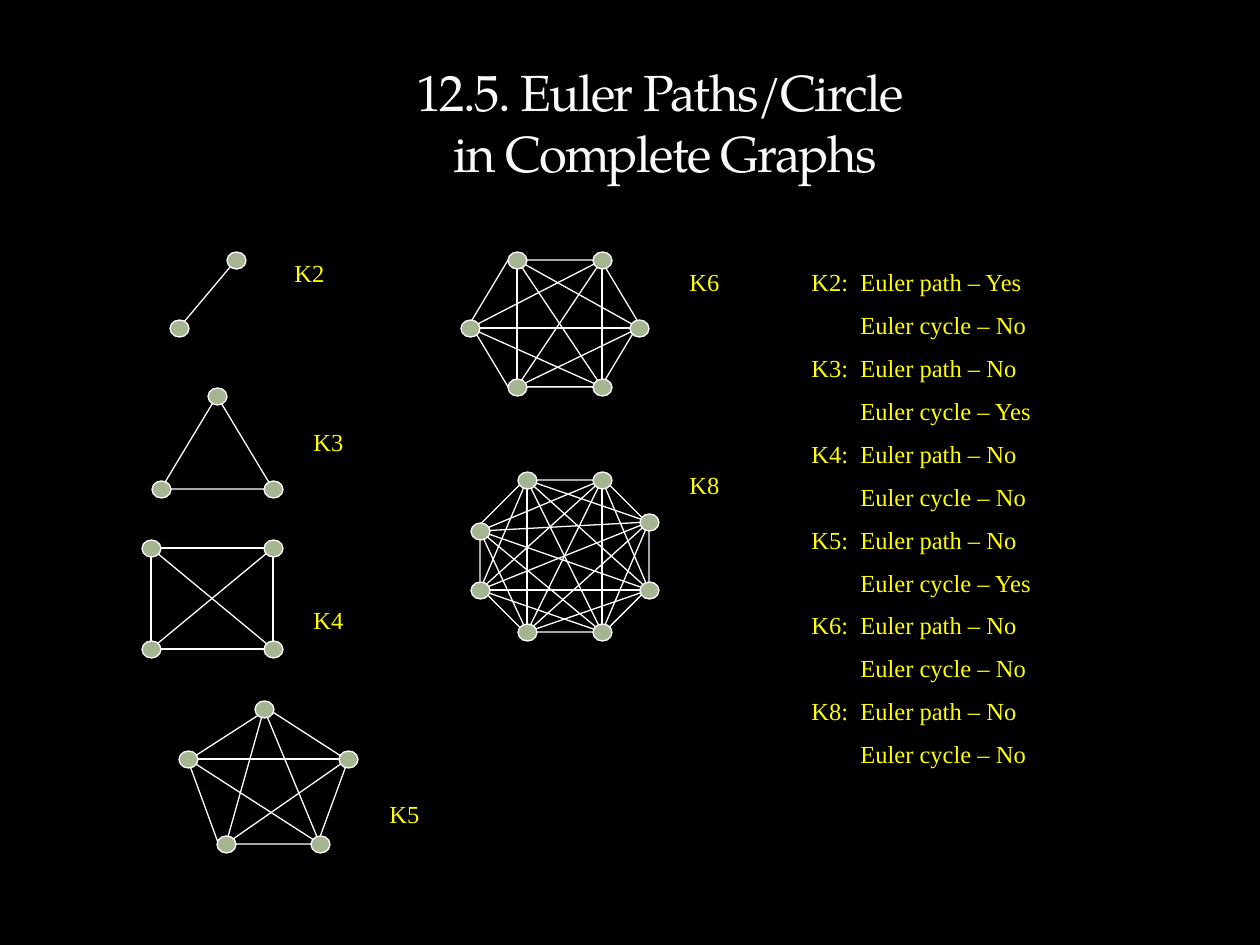
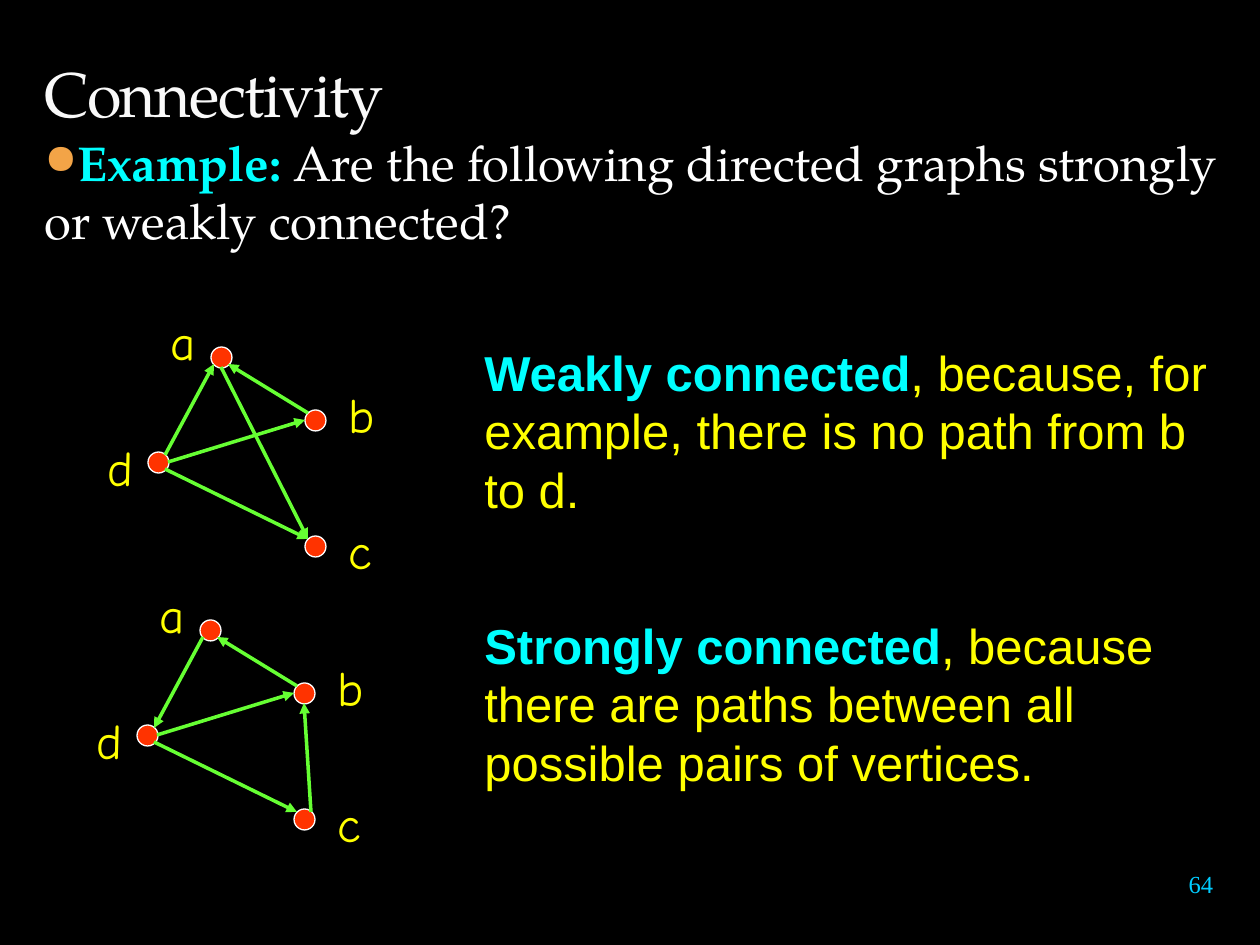
from itertools import combinations

from lxml import etree
from pptx import Presentation
from pptx import util as u
from pptx.dml.color import RGBColor
from pptx.enum import shapes, text
from pptx.oxml.ns import qn

PX = 9144000 // 1260
COLORS = {
    "back": "000000", "title": "F9F9F9", "white": "FFFFFF", "yellow": "FFFF00",
    "cyan": "00FFFF", "number": "00CCFF", "bullet": "F3A447",
    "vertex": "A5B592", "node": "FF3300", "arrow": "66FF33",
}
SERIF, HEAD, HAND, SANS = "Times New Roman", "TeX Gyre Pagella", "Comic Neue", "Arial"
KIND = shapes.MSO_SHAPE
ORDERS = (2, 3, 4, 5, 6, 8)

COMPLETE_GRAPHS = [
    (None, [(236, 260), (179, 328)], (282, 252)),
    (KIND.ISOSCELES_TRIANGLE, [(217, 396), (273, 489), (161, 489)], (301, 421)),
    (KIND.RECTANGLE, [(151, 548), (273, 548), (273, 649), (151, 649)], (301, 599)),
    (KIND.REGULAR_PENTAGON,
     [(264, 709), (348, 759), (320, 844), (226, 844), (188, 759)], (377, 793)),
    (KIND.HEXAGON, [(517, 260), (602, 260), (639, 328), (602, 387), (517, 387),
                    (470, 328)], (677, 261)),
    (KIND.OCTAGON, [(527, 480), (602, 480), (649, 522), (649, 590), (602, 632),
                    (527, 632), (480, 590), (480, 531)], (677, 464)),
]

NODES = {"a": (221, 357), "b": (315, 420), "c": (315, 546), "d": (158, 462)}
LABELS = {"a": (158, 305), "b": (336, 378), "c": (336, 514), "d": (95, 431)}
RIM = {"s": (0, 10), "e": (10, 0), "w": (-10, 0), "ne": (7, -7),
       "nw": (-7, -7), "se": (7, 7), "sw": (-7, 7)}
SHARED_ARROWS = ["b nw a se", "d e b w", "d se c nw"]
WEAK_ARROWS = SHARED_ARROWS + ["d ne a sw", "a s c nw"]
STRONG_ARROWS = SHARED_ARROWS + ["a sw d ne", "c ne b s"]


def rgb(name):
    """Look a colour up by name."""
    return RGBColor.from_string(COLORS[name])


def px(*lengths):
    """Turn px lengths into EMU."""
    return [n * PX for n in lengths]


def add_slide(prs):
    """Add a blank slide with the dark background."""
    s = prs.slides.add_slide(prs.slide_layouts[6])
    s.background.fill.solid()
    s.background.fill.fore_color.rgb = rgb("back")
    return s


def style(r, font, size, color, bold=False):
    """Format one run."""
    r.font.name, r.font.size, r.font.bold = font, u.Pt(size), bold
    r.font.color.rgb = rgb(color)


def add_text(sh, box, lines, font, size, color, lead=""):
    """Add a wrapped text box, with an optional bold cyan lead-in."""
    tf = sh.add_textbox(*px(*box)).text_frame
    tf.word_wrap = True
    if lead:
        r = tf.paragraphs[0].add_run()
        r.text = lead
        style(r, font, size, "cyan", True)
        r = tf.paragraphs[0].add_run()
        r.text = lines
        style(r, font, size, color)
        return tf
    tf.text = lines
    for p in tf.paragraphs:
        for r in p.runs:
            style(r, font, size, color)
    return tf


def add_title(s, box, title, size, align):
    """Add a bottom-anchored, slightly condensed title."""
    tf = add_text(s.shapes, box, "", HEAD, size, "title")
    tf.vertical_anchor = text.MSO_ANCHOR.BOTTOM
    p = tf.paragraphs[0]
    p.text, p.alignment = title, align
    for r in p.runs:
        style(r, HEAD, size, "title")
        r.font._element.set("spc", "-100")


def add_shape(sh, kind, box, fill):
    """Add a filled shape with a thin white outline."""
    sp = sh.add_shape(kind, *px(*box))
    sp.shadow.inherit = False
    sp.fill.solid()
    sp.fill.fore_color.rgb = rgb(fill)
    sp.line.color.rgb, sp.line.width = rgb("white"), u.Pt(0.75)
    return sp


def add_dot(sh, kind, center, size, fill):
    """Add a round vertex around its center."""
    (x, y), (w, h) = center, size
    return add_shape(sh, kind, (x - w // 2, y - h // 2, w, h), fill)


def add_line(sh, start, end, color, width, arrow=False):
    """Add a straight edge, with an arrowhead when directed."""
    c = sh.add_connector(shapes.MSO_CONNECTOR.STRAIGHT, *px(*start, *end))
    c.line.color.rgb, c.line.width = rgb(color), u.Pt(width)
    if arrow:
        etree.SubElement(c.line._get_or_add_ln(), qn("a:tailEnd"), type="triangle")
    etree.SubElement(c._element.spPr, qn("a:effectLst"))


def add_complete_graph(sh, outline, vertices, label_at):
    """Draw the outline, the remaining edges, the vertices and the name."""
    n = len(vertices)
    if outline:
        xs, ys = zip(*vertices)
        box = min(xs), min(ys), max(xs) - min(xs), max(ys) - min(ys)
        sp = add_shape(sh, outline, box, "back")
        if outline == KIND.HEXAGON:
            sp.adjustments[0] = 0.3
    for i, j in combinations(range(n), 2):
        if not outline or j - i not in (1, n - 1):
            add_line(sh, vertices[i], vertices[j], "white", 0.75)
    for v in vertices:
        add_dot(sh, KIND.OVAL, v, (19, 17), "vertex")
    add_text(sh, (*label_at, 66, 42), f"K{n}", SERIF, 14, "yellow")


def add_euler_list(sh):
    """List which complete graphs have an Euler path or cycle."""
    answer = {True: "Yes", False: "No"}
    lines = []
    for n in ORDERS:
        lines += [f"K{n}:\tEuler path – {answer[n == 2]}",
                  f"Euler cycle – {answer[n % 2 == 1]}"]
    tf = add_text(sh, (799, 261, 375, 570), "\n".join(lines), SERIF, 14, "yellow")
    for i, p in enumerate(tf.paragraphs):
        pPr = p._p.get_or_add_pPr()
        pPr.set("marL", str(49 * PX))
        pPr.set("indent", str(0 if i % 2 else -49 * PX))
        if i:
            p.space_before = u.Pt(7.7)


def add_digraph(sh, arrows, dx=0, dy=0):
    """Draw the four lettered nodes and their arrows, moved by an offset."""
    def at(point, rim=(0, 0)):
        """Move a point by the offset and a rim step."""
        return point[0] + dx + rim[0], point[1] + dy + rim[1]

    for name, center in NODES.items():
        add_dot(sh, KIND.FLOWCHART_CONNECTOR, at(center), (21, 21), "node")
        add_text(sh, (*at(LABELS[name]), 84, 72), name, HAND, 28, "yellow")
    for arrow in arrows:
        a, a_rim, b, b_rim = arrow.split()
        add_line(sh, at(NODES[a], RIM[a_rim]), at(NODES[b], RIM[b_rim]),
                 "arrow", 2, True)


def add_bullet(p):
    """Give a paragraph a round orange bullet."""
    pPr = p._p.get_or_add_pPr()
    pPr.set("marL", "0")
    pPr.set("indent", "0")
    clr = etree.SubElement(pPr, qn("a:buClr"))
    etree.SubElement(clr, qn("a:srgbClr"), val=COLORS["bullet"])
    etree.SubElement(pPr, qn("a:buSzPct"), val="85000")
    etree.SubElement(pPr, qn("a:buChar"), char="●")


def add_page_number(s, number):
    """Add the page number at the lower right."""
    tf = add_text(s.shapes, (1159, 852, 84, 63), number, SERIF, 14, "number")
    tf.margin_left = tf.margin_right = tf.margin_top = tf.margin_bottom = 0
    tf.vertical_anchor = text.MSO_ANCHOR.MIDDLE
    tf.paragraphs[0].alignment = text.PP_ALIGN.CENTER


def build_complete_graphs(prs):
    """Build the slide on Euler paths in complete graphs."""
    s = add_slide(prs)
    add_title(s, (105, 53, 1121, 136), "12.5. Euler Paths/Circle \vin Complete Graphs",
              29, text.PP_ALIGN.CENTER)
    sh = s.shapes.add_group_shape().shapes
    for graph in COMPLETE_GRAPHS:
        add_complete_graph(sh, *graph)
    add_euler_list(sh)


def build_connectivity(prs):
    """Build the slide on weak and strong connectivity."""
    s = add_slide(prs)
    add_title(s, (32, 0, 1187, 136), "Connectivity", 36, text.PP_ALIGN.LEFT)
    tf = add_text(s.shapes, (32, 126, 1207, 136),
                  " Are the following directed graphs strongly or weakly connected?",
                  HEAD, 28, "white", "Example:")
    add_bullet(tf.paragraphs[0])
    add_digraph(s.shapes.add_group_shape().shapes, WEAK_ARROWS)
    add_digraph(s.shapes.add_group_shape().shapes, STRONG_ARROWS, -11, 273)
    add_text(s.shapes, (472, 336, 756, 242),
             ", because, for example, there is no path from b to d.",
             SANS, 28, "yellow", "Weakly connected")
    add_text(s.shapes, (472, 609, 756, 242),
             ", because there are paths between all possible pairs of vertices.",
             SANS, 28, "yellow", "Strongly connected")
    add_page_number(s, "64")


def main():
    """Build and save the presentation."""
    prs = Presentation()
    prs.slide_width, prs.slide_height = px(1260, 945)
    build_complete_graphs(prs)
    build_connectivity(prs)
    prs.save("out.pptx")


if __name__ == "__main__":
    main()
